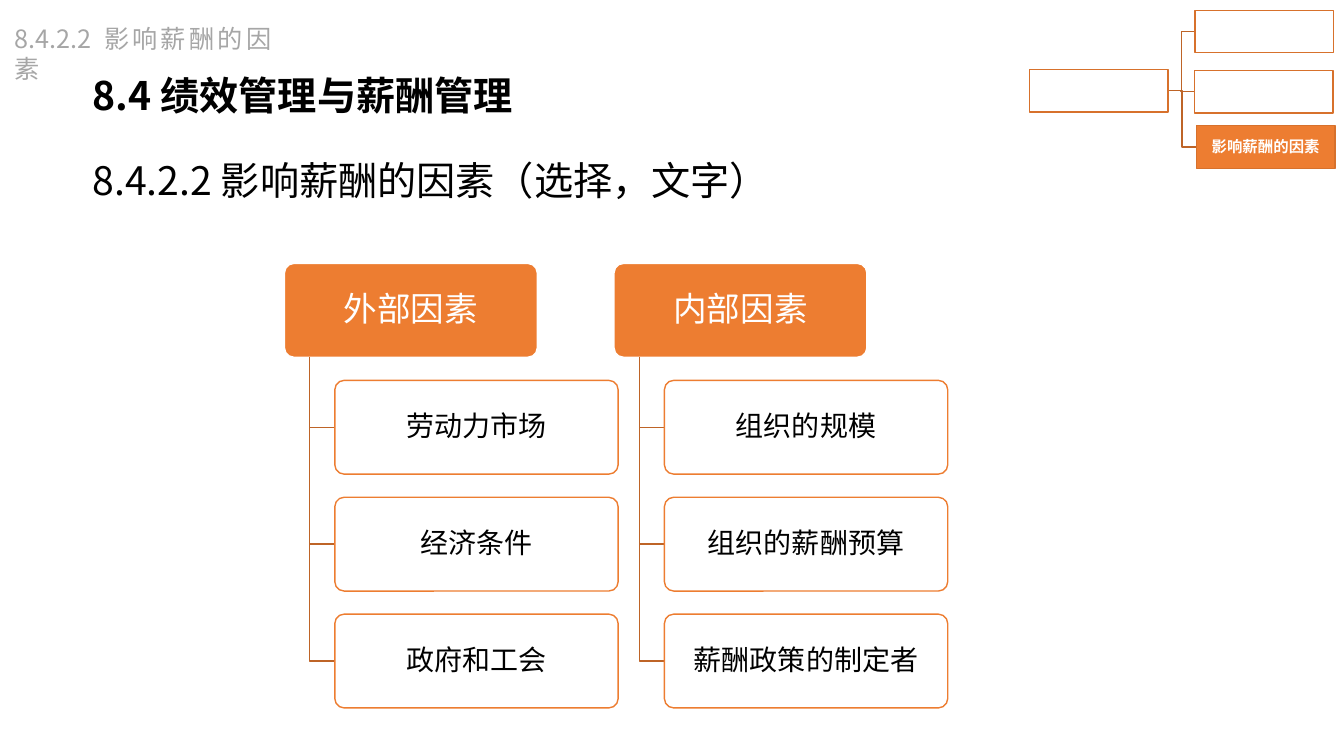
"""Build the slide on factors that influence pay."""
import dataclasses
import pptx
import pptx.util
import pptx.dml.color
import pptx.enum.shapes
import pptx.enum.text
import pptx.oxml.ns
import lxml.etree

Pt = pptx.util.Pt
Shape = pptx.enum.shapes.MSO_SHAPE
Align = pptx.enum.text.PP_ALIGN
Anchor = pptx.enum.text.MSO_ANCHOR
Fit = pptx.enum.text.MSO_AUTO_SIZE
qn = pptx.oxml.ns.qn


@dataclasses.dataclass(frozen=True)
class Theme:
    black: str = "000000"
    white: str = "FFFFFF"
    grey: str = "A6A6A6"
    orange: str = "ED7D31"
    edge: str = "D7712C"
    link: str = "BE6427"
    title: int = 28
    head: int = 24
    item: int = 20
    label: int = 18
    tag: int = 11
    sans: str = "Noto Sans CJK SC"
    chart: str = "Noto Sans CJK JP"


theme = Theme()


def write(text, at, kind=None, fill=None, line=None, alpha=None, size=theme.item,
          color=theme.black, face=theme.sans, bold=False, align=Align.LEFT,
          anchor=Anchor.MIDDLE, pad=(3, 2), space=None, fit=Fit.NONE):
    """Place text in a plain box or in a filled shape."""
    at = [Pt(n) for n in at]
    if kind is None:
        box = slide.shapes.add_textbox(*at)
    else:
        box = slide.shapes.add_shape(kind, *at)
        box.shadow.inherit = False
        box.fill.solid()
        box.fill.fore_color.rgb = pptx.dml.color.RGBColor.from_string(fill)
        box.line.color.rgb = pptx.dml.color.RGBColor.from_string(line)
        box.line.width = Pt(1)
        if kind == Shape.ROUNDED_RECTANGLE:
            box.adjustments[0] = 0.1
        if alpha:
            tint = box.fill._xPr.find(qn("a:solidFill"))[0]
            lxml.etree.SubElement(tint, qn("a:alpha")).set("val", str(alpha * 1000))
    if text:
        frame = box.text_frame
        frame.word_wrap = True
        frame.auto_size = fit
        frame.vertical_anchor = anchor
        frame.margin_left = frame.margin_right = Pt(pad[0])
        frame.margin_top = frame.margin_bottom = Pt(pad[1])
        para = frame.paragraphs[0]
        para.alignment = align
        para.line_spacing = space
        run = para.add_run()
        run.text = text
        run.font.name = face
        run.font.size = Pt(size)
        run.font.bold = bold
        run.font.color.rgb = pptx.dml.color.RGBColor.from_string(color)
        east = lxml.etree.SubElement(run.font._element, qn("a:ea"))
        east.set("typeface", face)


def bend(*spots):
    """Draw an open line through the given spots."""
    spots = [(Pt(x), Pt(y)) for x, y in spots]
    pen = slide.shapes.build_freeform(*spots[0])
    pen.add_line_segments(spots[1:], close=False)
    path = pen.convert_to_shape()
    path.shadow.inherit = False
    path.fill.background()
    path.line.color.rgb = pptx.dml.color.RGBColor.from_string(theme.link)
    path.line.width = Pt(1)


deck = pptx.Presentation()
deck.slide_width = Pt(960)
deck.slide_height = Pt(540)
slide = deck.slides.add_slide(deck.slide_layouts[6])

write("8.4.2.2 影响薪酬的因素（选择，文字）", (57.6, 82.8, 875.5, 74.9),
      size=theme.title, pad=(8.6, 4.3), space=1.5)
write("8.4 绩效管理与薪酬管理", (57.6, 46.8, 824.4, 42.5), size=theme.title,
      bold=True, anchor=Anchor.TOP, pad=(8.6, 4.3), fit=Fit.SHAPE_TO_FIT_TEXT)

left, top, tall = 203.2, 188.2, 67
step, row, trunk = 235.4, 83.5, 18
groups = {
    "外部因素": ("劳动力市场", "经济条件", "政府和工会"),
    "内部因素": ("组织的规模", "组织的薪酬预算", "薪酬政策的制定者"),
}
for col, (head, items) in enumerate(groups.items()):
    x = left + col * step
    write(head, (x, top, 180.6, tall), kind=Shape.ROUNDED_RECTANGLE,
          fill=theme.orange, line=theme.white, size=theme.head,
          color=theme.white, face=theme.chart, align=Align.CENTER, space=0.9)
    for rank, item in enumerate(items, 1):
        y = top + rank * row
        mid = y + tall / 2
        bend((x + trunk, top + tall), (x + trunk, mid), (x + 2 * trunk, mid))
        write(item, (x + 2 * trunk, y, 202.4, tall),
              kind=Shape.ROUNDED_RECTANGLE, fill=theme.white, line=theme.orange,
              alpha=90, face=theme.chart, align=Align.CENTER, space=0.9)

write("8.4.2.2 影响薪酬的因素", (3.6, 13, 197.3, 28.8), size=theme.label,
      color=theme.grey, align=Align.JUSTIFY, anchor=Anchor.TOP, pad=(7.2, 3.6))

wide, high = 99, 30.4
root = (735.2, 49.6)
leaves = ((854.6, 89.9, "影响薪酬的因素"), (853.2, 50.4, ""), (853.7, 7.3, ""))
start = (root[0] + wide, root[1] + high / 2)
for x, y, text in leaves:
    turn = (start[0] + x) / 2
    mid = y + high / 2
    bend(start, (turn, start[1]), (turn, mid), (x, mid))
write("", (*root, wide, high), kind=Shape.RECTANGLE,
      fill=theme.white, line=theme.edge)
for x, y, text in leaves:
    write(text, (x, y, wide, high), kind=Shape.RECTANGLE,
          fill=theme.orange if text else theme.white, line=theme.edge,
          size=theme.tag, color=theme.white, bold=True, align=Align.CENTER,
          pad=(0.7, 0.7), space=0.9)

deck.save("out.pptx")
